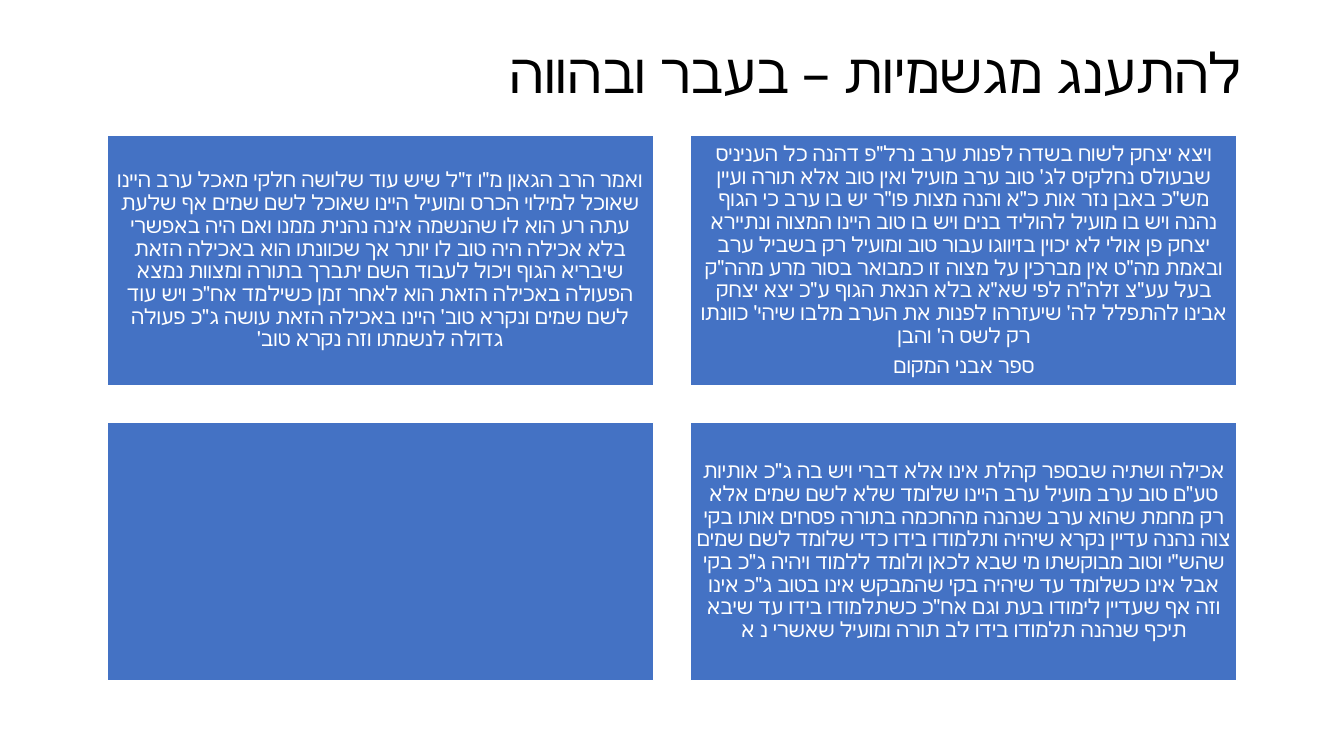
from dataclasses import dataclass

from pptx import Presentation
from pptx.dml.color import RGBColor
from pptx.enum.shapes import MSO_SHAPE
from pptx.enum.text import MSO_ANCHOR, MSO_AUTO_SIZE, PP_ALIGN
from pptx.util import Inches, Pt


@dataclass(frozen=True)
class Theme:
    """Colours, font and type sizes of the slide."""
    card: RGBColor = RGBColor(0x44, 0x72, 0xC4)
    light: RGBColor = RGBColor(0xFF, 0xFF, 0xFF)
    dark: RGBColor = RGBColor(0, 0, 0)
    font: str = "Calibri"
    title_size: float = 39.6
    card_size: float = 15


THEME = Theme()
TITLE = "להתענג מגשמיות – בעבר ובהווה"
COLUMNS = (1.06, 6.85)
ROWS = ((1.34, 2.49), (4.19, 2.56))
CARD_WIDTH = 5.42
INSET = 0.06

THREE_PARTS = (
    "ואמר הרב הגאון מ\"ו ז\"ל שיש עוד שלושה חלקי מאכל ערב היינו שאוכל למילוי הכרס "
    "ומועיל היינו שאוכל לשם שמים אף שלעת עתה רע הוא לו שהנשמה אינה נהנית ממנו ואם היה "
    "באפשרי בלא אכילה היה טוב לו יותר אך שכוונתו הוא באכילה הזאת שיבריא הגוף ויכול לעבוד "
    "השם יתברך בתורה ומצוות נמצא הפעולה באכילה הזאת הוא לאחר זמן כשילמד אח\"כ ויש עוד "
    "לשם שמים ונקרא טוב' היינו באכילה הזאת עושה ג\"כ פעולה גדולה לנשמתו וזה נקרא טוב'"
)
ISAAC = (
    "ויצא יצחק לשוח בשדה לפנות ערב נרל\"פ דהנה כל העניניס שבעולס נחלקיס לג' טוב ערב "
    "מועיל ואין טוב אלא תורה ועיין מש\"כ באבן נזר אות כ\"א והנה מצות פו\"ר יש בו ערב כי "
    "הגוף נהנה ויש בו מועיל להוליד בנים ויש בו טוב היינו המצוה ונתיירא יצחק פן אולי לא "
    "יכוין בזיווגו עבור טוב ומועיל רק בשביל ערב ובאמת מה\"ט אין מברכין על מצוה זו כמבואר "
    "בסור מרע מהה\"ק בעל עע\"צ זלה\"ה לפי שא\"א בלא הנאת הגוף ע\"כ יצא יצחק אבינו להתפלל "
    "לה' שיעזרהו לפנות את הערב מלבו שיהי' כוונתו רק לשס ה' והבן"
)
SOURCE_BOOK = "ספר אבני המקום"
ECCLESIASTES = (
    "אכילה ושתיה שבספר קהלת אינו אלא דברי ויש בה ג\"כ אותיות טע\"ם טוב ערב מועיל ערב "
    "היינו שלומד שלא לשם שמים אלא רק מחמת שהוא ערב שנהנה מהחכמה בתורה פסחים אותו בקי "
    "צוה נהנה עדיין נקרא שיהיה ותלמודו בידו כדי שלומד לשם שמים שהש\"י וטוב מבוקשתו מי "
    "שבא לכאן ולומד ללמוד ויהיה ג\"כ בקי אבל אינו כשלומד עד שיהיה בקי שהמבקש אינו בטוב "
    "ג\"כ אינו וזה אף שעדיין לימודו בעת וגם אח\"כ כשתלמודו בידו עד שיבא תיכף שנהנה תלמודו "
    "בידו לב תורה ומועיל שאשרי נ א"
)
CARDS = (
    ((THREE_PARTS,), (ISAAC, SOURCE_BOOK)),
    ((), (ECCLESIASTES,)),
)


def format_hebrew(paragraph, size, color, alignment):
    """Set a paragraph right to left in the theme font."""
    paragraph.alignment = alignment
    paragraph.line_spacing = 0.9
    paragraph._p.get_or_add_pPr().set("rtl", "1")
    font = paragraph.font
    font.size = Pt(size)
    font.color.rgb = color
    font.name = THEME.font


def add_title(slide):
    """Place and format the slide title."""
    title = slide.shapes.title
    title.left, title.top = Inches(0.92), Inches(0.4)
    title.width, title.height = Inches(11.5), Inches(0.7)
    frame = title.text_frame
    frame.text = TITLE
    frame.auto_size = MSO_AUTO_SIZE.NONE
    frame.vertical_anchor = MSO_ANCHOR.MIDDLE
    format_hebrew(frame.paragraphs[0], THEME.title_size, THEME.dark, PP_ALIGN.RIGHT)


def add_card(slide, left, top, height, passages):
    """Draw one blue card with its centred passages."""
    card = slide.shapes.add_shape(
        MSO_SHAPE.RECTANGLE, Inches(left), Inches(top), Inches(CARD_WIDTH), Inches(height)
    )
    card.shadow.inherit = False
    card.fill.solid()
    card.fill.fore_color.rgb = THEME.card
    card.line.color.rgb = THEME.light
    card.line.width = Pt(1)
    frame = card.text_frame
    frame.word_wrap = True
    frame.vertical_anchor = MSO_ANCHOR.MIDDLE
    frame.margin_left = frame.margin_right = Inches(INSET)
    frame.margin_top = frame.margin_bottom = Inches(INSET)
    if passages:
        frame.text = "\n".join(passages)
        for paragraph in frame.paragraphs:
            paragraph.space_after = Pt(5.25)
            format_hebrew(paragraph, THEME.card_size, THEME.light, PP_ALIGN.CENTER)


def main():
    """Build and save the slide."""
    presentation = Presentation()
    presentation.slide_width = Inches(13.33)
    presentation.slide_height = Inches(7.5)
    slide = presentation.slides.add_slide(presentation.slide_layouts[5])
    add_title(slide)
    for (top, height), card_row in zip(ROWS, CARDS):
        for left, passages in zip(COLUMNS, card_row):
            add_card(slide, left, top, height, passages)
    presentation.save("out.pptx")


if __name__ == "__main__":
    main()
